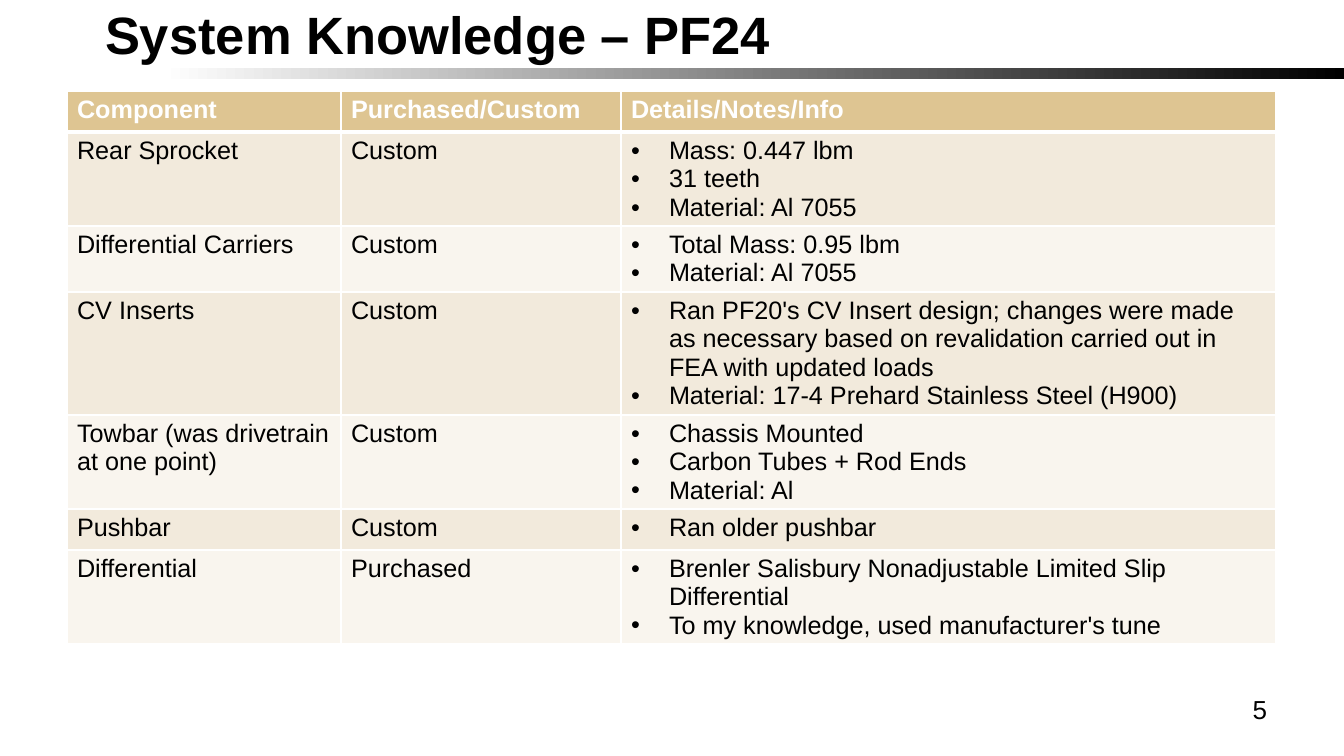
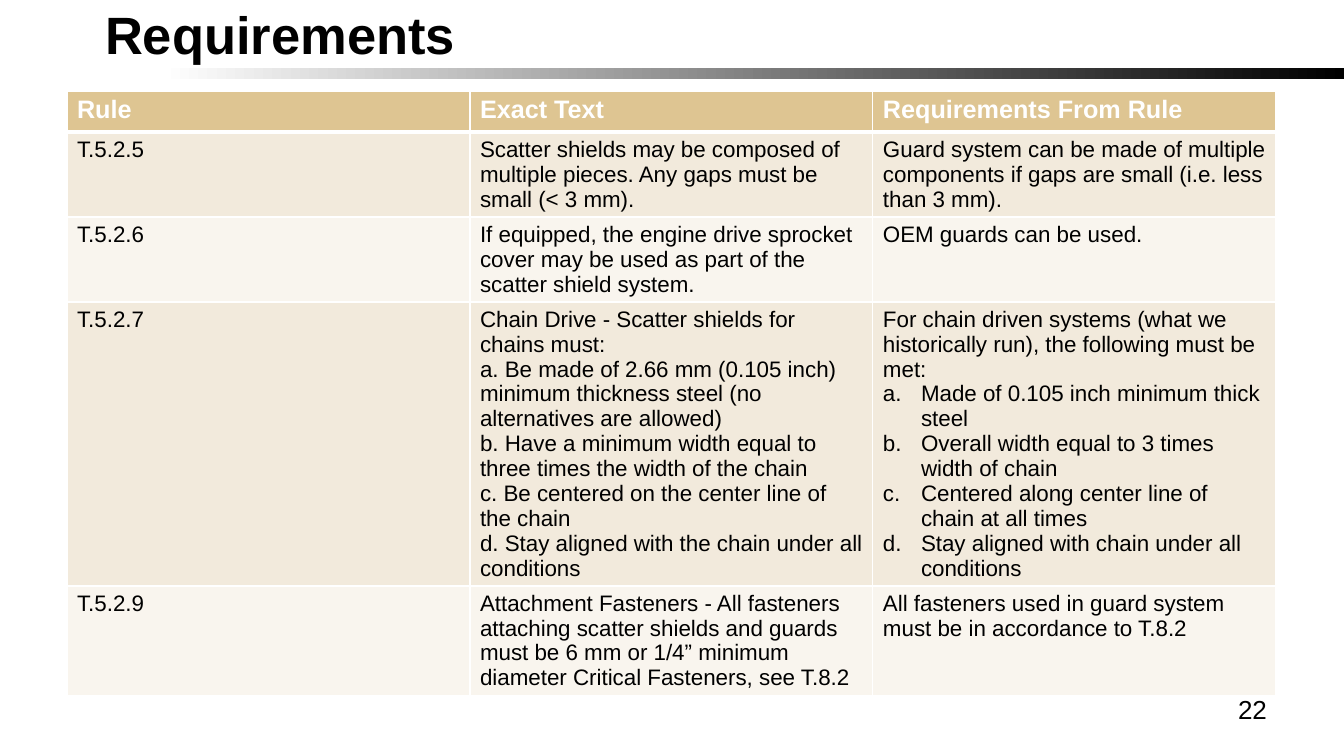
from typing import NamedTuple

from lxml import etree
from pptx import Presentation
from pptx.dml.color import RGBColor
from pptx.enum.shapes import MSO_SHAPE
from pptx.enum.text import MSO_ANCHOR, PP_ALIGN
from pptx.oxml.ns import qn
from pptx.util import Emu, Pt

RECTANGLE = MSO_SHAPE.RECTANGLE
TOP, BOTTOM = MSO_ANCHOR.TOP, MSO_ANCHOR.BOTTOM
LEFT, RIGHT = PP_ALIGN.LEFT, PP_ALIGN.RIGHT

BLACK = RGBColor(0x00, 0x00, 0x00)
WHITE = RGBColor(0xFF, 0xFF, 0xFF)
HEADER_TAN = RGBColor(0xDE, 0xC5, 0x92)
ROW_FILLS = (RGBColor(0xF2, 0xEA, 0xDC), RGBColor(0xF9, 0xF5, 0xEE))

FONT = "Arial"
SLIDE_W, SLIDE_H = 1344, 756
PX_PER_PT = 1.4
TABLE_LEFT, TABLE_TOP = 67, 91
HEADER_H = 41
ROW_PADDING = 10
HANGING = 38
HEADER_SIZE = 18
LINE_PITCH = {18: 20.1, 16: 17.8}
RULE_PT, HEADER_RULE_PT = 1, 3

BULLET = ("a:buChar", {"char": "•"})
LETTER = ("a:buAutoNum", {"type": "alphaLcPeriod"})


class Item(NamedTuple):
    """A list entry in a table cell."""
    marker: tuple
    text: str


def bullets(*texts):
    return [Item(BULLET, text) for text in texts]


def letters(*texts):
    return [Item(LETTER, text) for text in texts]


COMPONENTS = [
    ["Component", "Purchased/Custom", "Details/Notes/Info"],
    ["Rear Sprocket", "Custom",
     bullets("Mass: 0.447 lbm", "31 teeth", "Material: Al 7055")],
    ["Differential Carriers", "Custom",
     bullets("Total Mass: 0.95 lbm", "Material: Al 7055")],
    ["CV Inserts", "Custom",
     bullets("Ran PF20's CV Insert design; changes were made as necessary "
             "based on revalidation carried out in FEA with updated loads",
             "Material: 17-4 Prehard Stainless Steel (H900)")],
    ["Towbar (was drivetrain at one point)", "Custom",
     bullets("Chassis Mounted", "Carbon Tubes + Rod Ends", "Material: Al")],
    ["Pushbar", "Custom", bullets("Ran older pushbar")],
    ["Differential", "Purchased",
     bullets("Brenler Salisbury Nonadjustable Limited Slip Differential",
             "To my knowledge, used manufacturer's tune")],
]
COMPONENT_LINES = (3, 2, 4, 3, 1, 3)

REQUIREMENTS = [
    ["Rule", "Exact Text", "Requirements From Rule"],
    ["T.5.2.5",
     "Scatter shields may be composed of multiple pieces. "
     "Any gaps must be small (< 3 mm).",
     "Guard system can be made of multiple components if gaps are small "
     "(i.e. less than 3 mm)."],
    ["T.5.2.6",
     "If equipped, the engine drive sprocket cover may be used as part of "
     "the scatter shield system.",
     "OEM guards can be used."],
    ["T.5.2.7",
     ["Chain Drive - Scatter shields for chains must:",
      "a. Be made of 2.66 mm (0.105 inch) minimum thickness steel "
      "(no alternatives are allowed)",
      "b. Have a minimum width equal to three times the width of the chain",
      "c. Be centered on the center line of the chain",
      "d. Stay aligned with the chain under all conditions"],
     ["For chain driven systems (what we historically run), "
      "the following must be met:",
      *letters("Made of 0.105 inch minimum thick steel",
               "Overall width equal to 3 times width of chain",
               "Centered along center line of chain at all times",
               "Stay aligned with chain under all conditions")]],
    ["T.5.2.9",
     "Attachment Fasteners - All fasteners attaching scatter shields and "
     "guards must be 6 mm or 1/4” minimum diameter Critical Fasteners, "
     "see T.8.2",
     "All fasteners used in guard system must be in accordance to T.8.2"],
]
REQUIREMENT_LINES = (3, 3, 11, 4)


def px(length):
    return Emu(round(length * 914400 / 100.8))


def add_run(paragraph, text, size, color=BLACK, bold=False):
    run = paragraph.add_run()
    run.text = text
    run.font.name = FONT
    run.font.size = Pt(size)
    run.font.bold = bold
    run.font.color.rgb = color


def add_label(slide, box, text, size, bold=False, align=LEFT, anchor=TOP,
              insets=(10, 5, 10, 5)):
    frame = slide.shapes.add_textbox(*map(px, box)).text_frame
    frame.word_wrap = True
    frame.vertical_anchor = anchor
    (frame.margin_left, frame.margin_top,
     frame.margin_right, frame.margin_bottom) = map(px, insets)
    paragraph = frame.paragraphs[0]
    paragraph.alignment = align
    add_run(paragraph, text, size, bold=bold)


def add_band(slide):
    """Bar under the title, fading from black at the right to white."""
    band = slide.shapes.add_shape(RECTANGLE, 0, px(68), px(SLIDE_W), px(11))
    band.shadow.inherit = False
    band.line.fill.background()
    band.fill.gradient()
    band.fill.gradient_angle = 180
    stops = band.fill.gradient_stops
    for stop, color, position in zip(stops, (BLACK, WHITE), (0, 0.88)):
        stop.color.rgb = color
        stop.position = position


def set_marker(paragraph, marker):
    tag, attributes = marker
    properties = paragraph._p.get_or_add_pPr()
    properties.set("marL", str(px(HANGING)))
    properties.set("indent", str(-px(HANGING)))
    etree.SubElement(properties, qn("a:buFont"), typeface=FONT)
    etree.SubElement(properties, qn(tag), attributes)


def set_borders(cell, top, bottom):
    """White cell edges; top and bottom are widths in points."""
    properties = cell._tc.get_or_add_tcPr()
    edges = (("L", RULE_PT), ("R", RULE_PT), ("T", top), ("B", bottom))
    for place, (side, width) in enumerate(edges):
        line = etree.Element(qn(f"a:ln{side}"), w=str(Pt(width)))
        fill = etree.SubElement(line, qn("a:solidFill"))
        etree.SubElement(fill, qn("a:srgbClr"), val=str(WHITE))
        properties.insert(place, line)


def fill_cell(cell, content, size, color, bold):
    entries = [content] if isinstance(content, str) else content
    cell.margin_bottom = 0
    frame = cell.text_frame
    for index, entry in enumerate(entries):
        paragraph = frame.add_paragraph() if index else frame.paragraphs[0]
        if isinstance(entry, Item):
            set_marker(paragraph, entry.marker)
            entry = entry.text
        paragraph.line_spacing = Pt(LINE_PITCH[size])
        add_run(paragraph, entry, size, color, bold)


def row_heights(line_counts, size):
    """Header height, then one height per body row from its text lines."""
    pitch = LINE_PITCH[size] * PX_PER_PT
    return [HEADER_H] + [max(HEADER_H, round(count * pitch) + ROW_PADDING)
                         for count in line_counts]


def add_grid(slide, rows, line_counts, widths, body_size):
    heights = row_heights(line_counts, body_size)
    table = slide.shapes.add_table(
        len(rows), len(widths), px(TABLE_LEFT), px(TABLE_TOP),
        px(sum(widths)), px(sum(heights))).table
    for column, width in zip(table.columns, widths):
        column.width = px(width)
    for r, (row, height) in enumerate(zip(rows, heights)):
        table.rows[r].height = px(height)
        is_header = r == 0
        for c, content in enumerate(row):
            cell = table.cell(r, c)
            cell.fill.solid()
            cell.fill.fore_color.rgb = (
                HEADER_TAN if is_header else ROW_FILLS[(r - 1) % 2])
            set_borders(cell, HEADER_RULE_PT if r == 1 else RULE_PT,
                        HEADER_RULE_PT if is_header else RULE_PT)
            fill_cell(cell, content, HEADER_SIZE if is_header else body_size,
                      WHITE if is_header else BLACK, is_header)


def add_table_slide(deck, title, number, rows, line_counts, widths, body_size):
    slide = deck.slides.add_slide(deck.slide_layouts[6])
    add_band(slide)
    add_label(slide, (67, 22, 874, 43), title, 37.5, bold=True,
              anchor=BOTTOM, insets=(38, 5, 10, 0))
    add_grid(slide, rows, line_counts, widths, body_size)
    add_label(slide, (964, 688, 313, 52), number, 18.6, align=RIGHT)


def main():
    deck = Presentation()
    deck.slide_width, deck.slide_height = px(SLIDE_W), px(SLIDE_H)
    add_table_slide(deck, "System Knowledge – PF24", "5", COMPONENTS,
                    COMPONENT_LINES, (274, 280, 655), 18)
    add_table_slide(deck, "Requirements", "22", REQUIREMENTS,
                    REQUIREMENT_LINES, (403, 403, 403), 16)
    deck.save("out.pptx")


if __name__ == "__main__":
    main()
